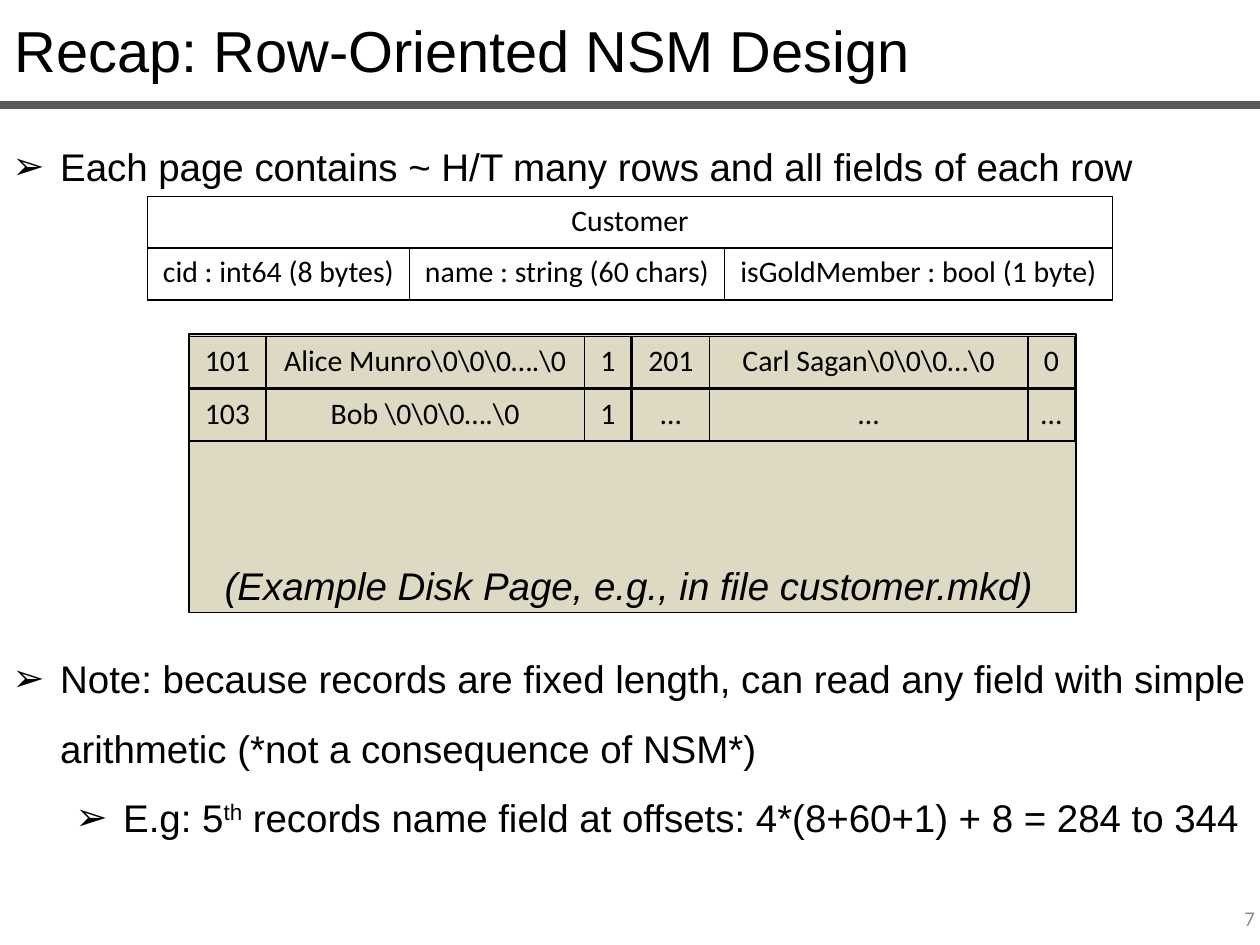
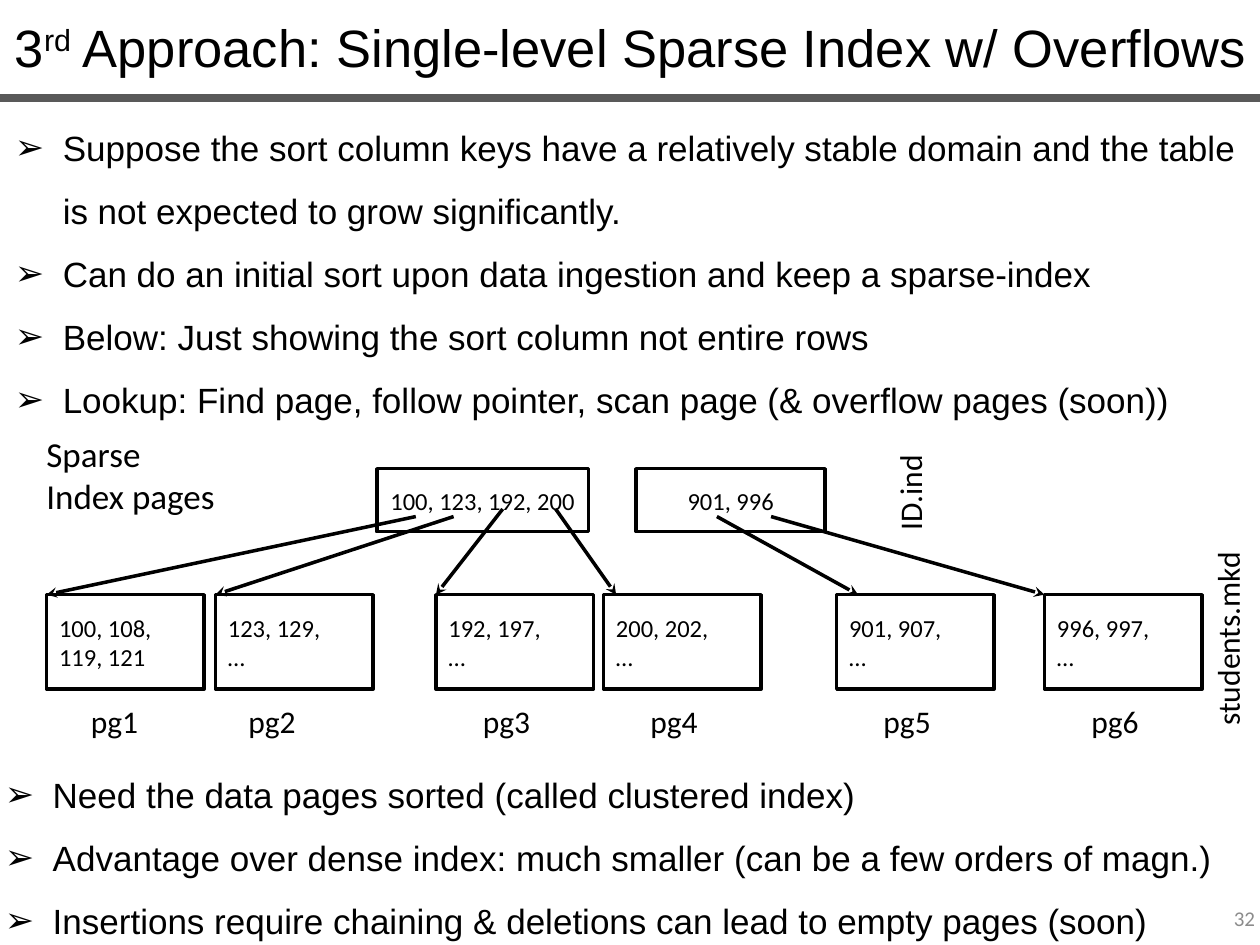
from dataclasses import dataclass
from typing import NamedTuple

from lxml import etree
from pptx import Presentation
from pptx import util as u
from pptx.dml.color import RGBColor
from pptx.enum import shapes, text
from pptx.oxml.ns import qn

LEFT, CENTER, RIGHT = text.PP_ALIGN.LEFT, text.PP_ALIGN.CENTER, text.PP_ALIGN.RIGHT


@dataclass(frozen=True)
class Theme:
    ink: str = "000000"
    band: str = "595959"
    number: str = "8C8C8C"
    paper: str = "DDD9C3"
    heading_font: str = "Arial"
    label_font: str = "Calibri"
    number_size: int = 12
    key_size: int = 14
    cell_size: int = 17
    label_size: int = 18
    caption_size: int = 20
    body_size: int = 22
    band_width: float = 4.5
    diagram_width: float = 2
    page_width: float = 0.75
    cell_width: float = 1


THEME = Theme()


class Style(NamedTuple):
    size: float
    font: str = THEME.label_font
    color: str = THEME.ink
    align: text.PP_ALIGN = LEFT
    spacing: float | None = None
    italic: bool = False


class Frame(NamedTuple):
    left: float
    top: float
    width: float
    height: float

    def lengths(self) -> list[u.Length]:
        return [u.Inches(value) for value in self]


class Point(NamedTuple):
    x: float
    y: float


class Bullet(NamedTuple):
    words: str
    level: int = 0


class IndexPage(NamedTuple):
    left: float
    width: float
    keys: str


class DataPage(NamedTuple):
    left: float
    keys: str
    pointer: Point
    tip_offset: float = 0
    label_offset: float = 0.11


CELL = Style(THEME.cell_size, align=CENTER)
KEYS = Style(THEME.key_size)
LABEL = Style(THEME.label_size, align=CENTER)


def write_spans(para, words: str, style: Style) -> None:
    para.alignment = style.align
    if style.spacing:
        para.line_spacing = style.spacing
    if "^" in words:
        for place, part in enumerate(words.split("^")):
            span = para.add_run()
            span.text = part
            if place % 2:
                span.font._element.set("baseline", "30000")
    else:
        para.text = words
    for span in para.runs:
        span.font.name = style.font
        span.font.size = u.Pt(style.size)
        span.font.italic = style.italic
        span.font.color.rgb = RGBColor.from_string(style.color)


def add_text(page, frame: Frame, words: str, style: Style,
             rotation: float = 0, middle: bool = False) -> None:
    box = page.shapes.add_textbox(*frame.lengths())
    box.rotation = rotation
    box.text_frame.word_wrap = True
    if middle:
        box.text_frame.vertical_anchor = text.MSO_ANCHOR.MIDDLE
    write_spans(box.text_frame.paragraphs[0], words, style)


def add_bullets(page, frame: Frame, bullets: list[Bullet], size: float) -> None:
    box = page.shapes.add_textbox(*frame.lengths())
    box.text_frame.word_wrap = True
    style = Style(size, THEME.heading_font, spacing=1.5)
    for place, bullet in enumerate(bullets):
        para = box.text_frame.add_paragraph() if place else box.text_frame.paragraphs[0]
        para.level = bullet.level
        props = para._p.get_or_add_pPr()
        props.set("marL", str(u.Inches(0.38 + 0.5 * bullet.level)))
        props.set("indent", str(u.Inches(-0.38)))
        etree.SubElement(props, qn("a:buFont"), typeface=THEME.heading_font)
        etree.SubElement(props, qn("a:buChar"), char="➢")
        write_spans(para, bullet.words, style)


def add_line(page, start: Point, end: Point, color: str, width: float,
             arrow: bool = False) -> None:
    ends = [u.Inches(value) for value in (*start, *end)]
    line = page.shapes.add_connector(shapes.MSO_CONNECTOR.STRAIGHT, *ends)
    line.line.color.rgb = RGBColor.from_string(color)
    line.line.width = u.Pt(width)
    if arrow:
        etree.SubElement(line.line._get_or_add_ln(), qn("a:tailEnd"), type="stealth")
    etree.SubElement(line._element.spPr, qn("a:effectLst"))


def add_rectangle(page, frame: Frame, width: float, fill: str | None = None):
    box = page.shapes.add_shape(shapes.MSO_SHAPE.RECTANGLE, *frame.lengths())
    box.shadow.inherit = False
    if fill:
        box.fill.solid()
        box.fill.fore_color.rgb = RGBColor.from_string(fill)
    else:
        box.fill.background()
    box.line.color.rgb = RGBColor.from_string(THEME.ink)
    box.line.width = u.Pt(width)
    return box


def add_key_box(page, frame: Frame, keys: str, style: Style, wrap: bool) -> None:
    box = add_rectangle(page, frame, THEME.diagram_width)
    box.text_frame.text = keys
    box.text_frame.word_wrap = wrap
    box.text_frame.vertical_anchor = text.MSO_ANCHOR.MIDDLE
    write_spans(box.text_frame.paragraphs[0], keys, style)


def format_cell(cell, words: str) -> None:
    write_spans(cell.text_frame.paragraphs[0], words, CELL)
    props = cell._tc.get_or_add_tcPr()
    for side in "LRTB":
        border = etree.SubElement(props, qn(f"a:ln{side}"), w=str(u.Pt(THEME.cell_width)))
        paint = etree.SubElement(border, qn("a:solidFill"))
        etree.SubElement(paint, qn("a:srgbClr"), val=THEME.ink)
    cell.fill.background()


def add_grid(page, corner: Point, widths: list[float], rows: list[list[str]]):
    row_height = 0.41
    frame = Frame(*corner, sum(widths), row_height * len(rows))
    table = page.shapes.add_table(len(rows), len(widths), *frame.lengths()).table
    table.first_row = table.horz_banding = False
    for column, width in zip(table.columns, widths):
        column.width = u.Inches(width)
    for row, values in zip(table.rows, rows):
        row.height = u.Inches(row_height)
        for cell, words in zip(row.cells, values):
            format_cell(cell, words)
    return table


def start_page(deck, title: str, size: float, band_top: float, number: str):
    page = deck.slides.add_slide(deck.slide_layouts[6])
    add_text(page, Frame(0.02, 0.07, 10, size / 50), title, Style(size, THEME.heading_font))
    add_line(page, Point(0, band_top), Point(10, band_top), THEME.band, THEME.band_width)
    add_text(page, Frame(7.73, 7.09, 2.33, 0.4), number,
             Style(THEME.number_size, color=THEME.number, align=RIGHT), middle=True)
    return page


def build_row_design(deck) -> None:
    page = start_page(deck, "Recap: Row-Oriented NSM Design", 33, 0.83, "7")
    add_bullets(page, Frame(0, 0.9, 10, 0.59), [
        Bullet("Each page contains ~ H/T many rows and all fields of each row"),
    ], THEME.body_size)
    add_rectangle(page, Frame(1.5, 2.65, 7.04, 2.21), THEME.page_width, THEME.paper)

    schema = add_grid(page, Point(1.17, 1.56), [2.08, 2.5, 3.08], [
        ["Customer", "", ""],
        ["cid : int64 (8 bytes)", "name : string (60 chars)", "isGoldMember : bool (1 byte)"],
    ])
    schema.cell(0, 0).merge(schema.cell(0, 2))

    records = [
        ["101", r"Alice Munro\0\0\0….\0", "1"],
        ["201", r"Carl Sagan\0\0\0…\0", "0"],
        ["103", r"Bob \0\0\0….\0", "1"],
        ["…", "…", "…"],
    ]
    for place, record in enumerate(records):
        row, column = divmod(place, 2)
        corner = Point(1.5 + 3.52 * column, 2.67 + 0.42 * row)
        add_grid(page, corner, [0.61, 2.53, 0.37], [record])

    add_bullets(page, Frame(0, 4.97, 10, 1.7), [
        Bullet("Note: because records are fixed length, can read any field with simple "
               "arithmetic (*not a consequence of NSM*)"),
        Bullet("E.g: 5^th^ records name field at offsets: 4*(8+60+1) + 8 = 284 to 344", 1),
    ], THEME.body_size)
    add_text(page, Frame(1.47, 4.23, 7.04, 0.59),
             "(Example Disk Page, e.g., in file customer.mkd)",
             Style(THEME.body_size, THEME.heading_font, align=CENTER, spacing=1.5, italic=True))


def build_sparse_index(deck) -> None:
    page = start_page(deck, "3^rd^ Approach: Single-level Sparse Index w/ Overflows",
                      30, 0.78, "32")
    add_bullets(page, Frame(0.02, 0.79, 10, 2.56), [
        Bullet("Suppose the sort column keys have a relatively stable domain and the table "
               "is not expected to grow significantly."),
        Bullet("Can do an initial sort upon data ingestion and keep a sparse-index"),
        Bullet("Below: Just showing the sort column not entire rows"),
        Bullet("Lookup: Find page, follow pointer, scan page (& overflow pages (soon))"),
    ], THEME.caption_size)

    index_pages = [
        IndexPage(2.99, 1.68, "100, 123, 192, 200"),
        IndexPage(5.05, 1.5, "901, 996"),
    ]
    for index in index_pages:
        add_key_box(page, Frame(index.left, 3.72, index.width, 0.5), index.keys,
                    KEYS._replace(align=CENTER), wrap=False)

    data_top = 4.72
    data_pages = [
        DataPage(0.37, "100, 108,\v119, 121", Point(3.3, 4.1), label_offset=0.09),
        DataPage(1.71, "123, 129,\v…", Point(3.6, 4.1), label_offset=0),
        DataPage(3.46, "192, 197,\v…", Point(3.99, 4.04)),
        DataPage(4.79, "200, 202,\v…", Point(4.41, 4.04), tip_offset=0.1),
        DataPage(6.64, "901, 907,\v…", Point(5.69, 4.1), tip_offset=0.17),
        DataPage(8.29, "996, 997,\v…", Point(6.12, 4.1)),
    ]
    for number, data in enumerate(data_pages, 1):
        add_key_box(page, Frame(data.left, data_top, 1.25, 0.75), data.keys, KEYS, wrap=True)
        add_line(page, data.pointer, Point(data.left + data.tip_offset, data_top),
                 THEME.ink, THEME.diagram_width, arrow=True)
        add_text(page, Frame(data.left + data.label_offset, 5.52, 0.9, 0.4),
                 f"pg{number}", LABEL)

    add_text(page, Frame(0.27, 3.38, 1.6, 0.77), "Sparse Index pages",
             Style(THEME.caption_size))
    add_text(page, Frame(8.88, 4.87, 1.72, 0.4), "students.mkd", LABEL, rotation=270)
    add_text(page, Frame(6.64, 3.71, 1.16, 0.4), "ID.ind", LABEL, rotation=270)
    add_bullets(page, Frame(-0.06, 5.92, 10, 1.55), [
        Bullet("Need the data pages sorted (called clustered index)"),
        Bullet("Advantage over dense index: much smaller (can be a few orders of magn.)"),
        Bullet("Insertions require chaining & deletions can lead to empty pages (soon)"),
    ], THEME.caption_size)


def main() -> None:
    deck = Presentation()
    deck.slide_width, deck.slide_height = u.Inches(10), u.Inches(7.5)
    build_row_design(deck)
    build_sparse_index(deck)
    deck.save("out.pptx")


if __name__ == "__main__":
    main()
